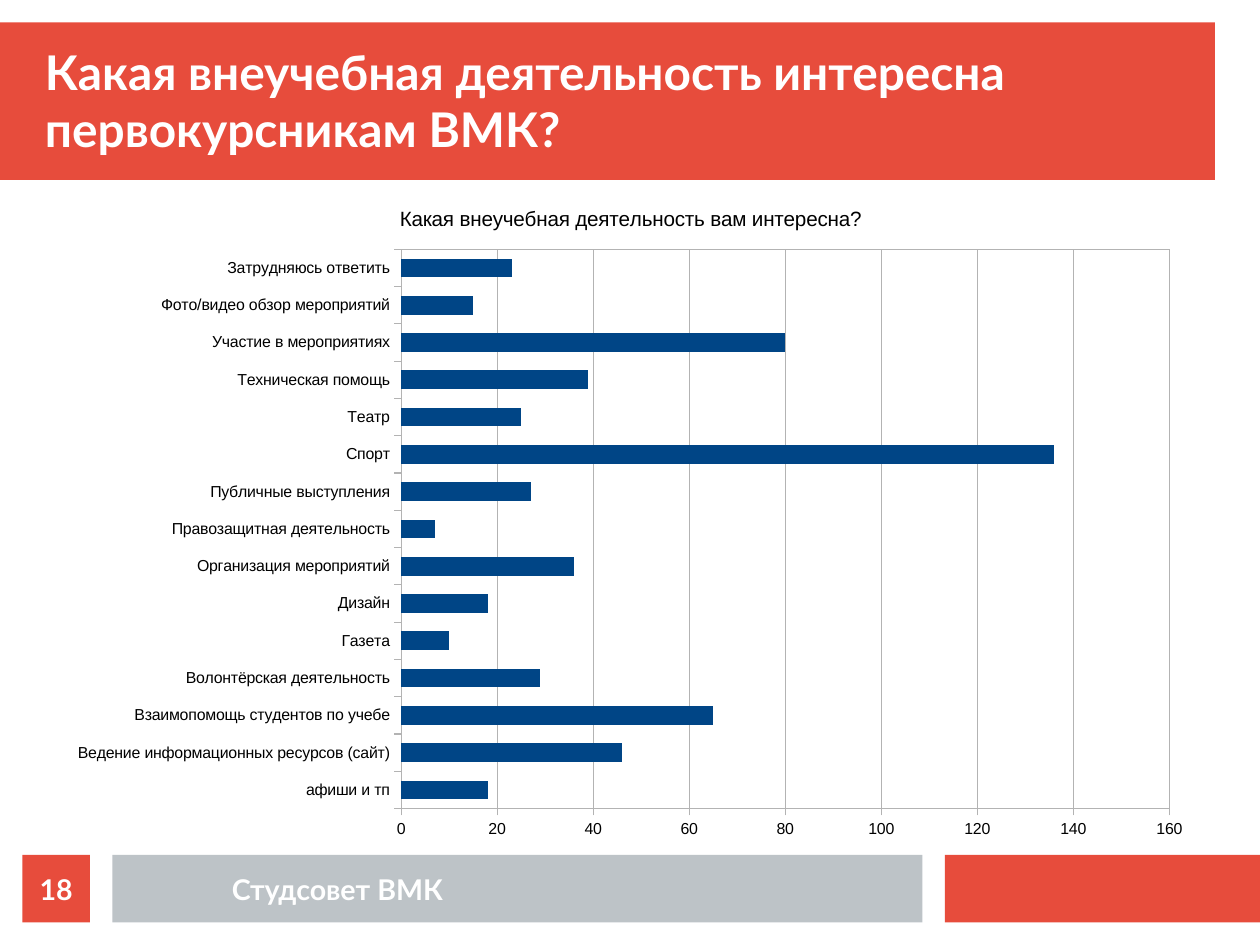
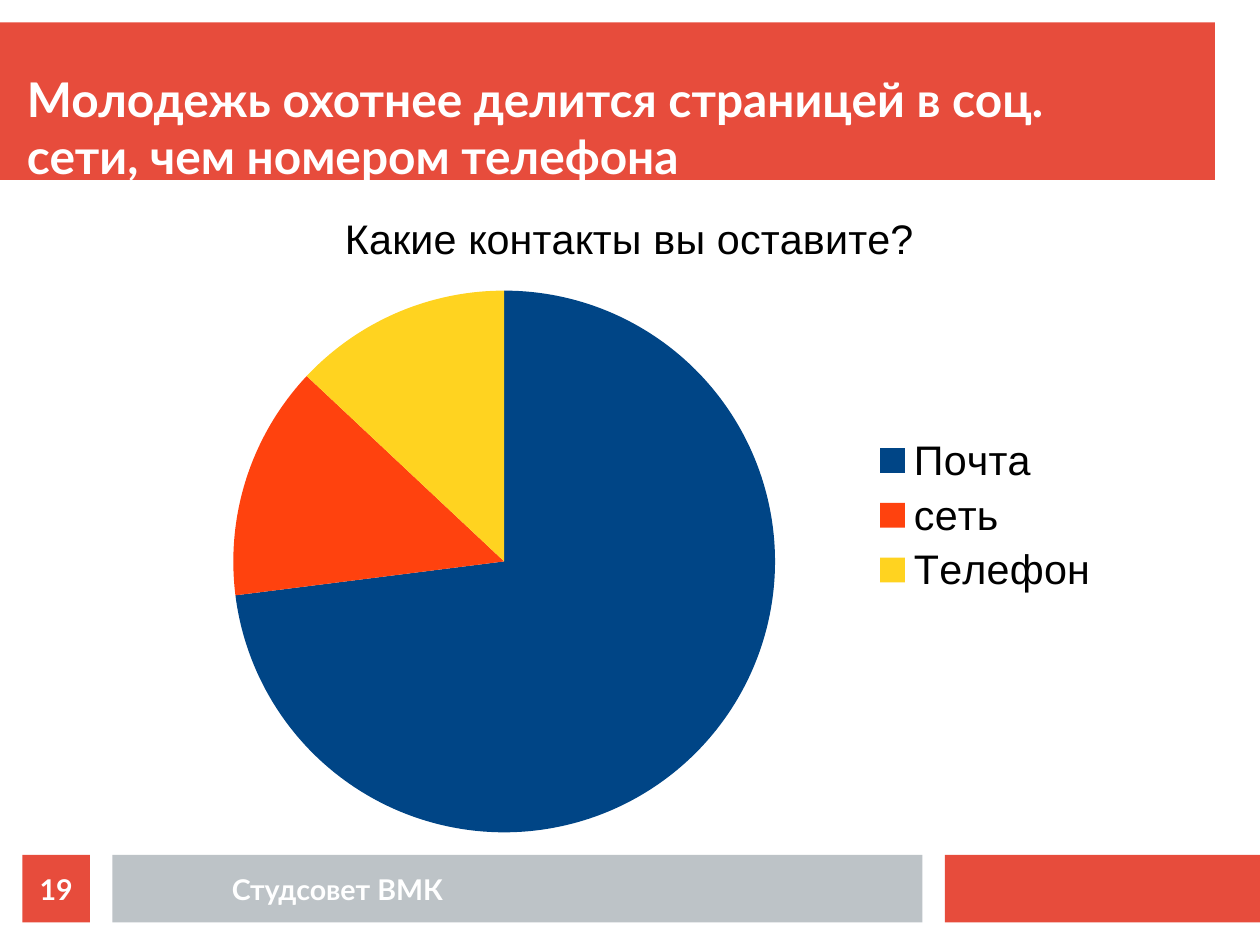
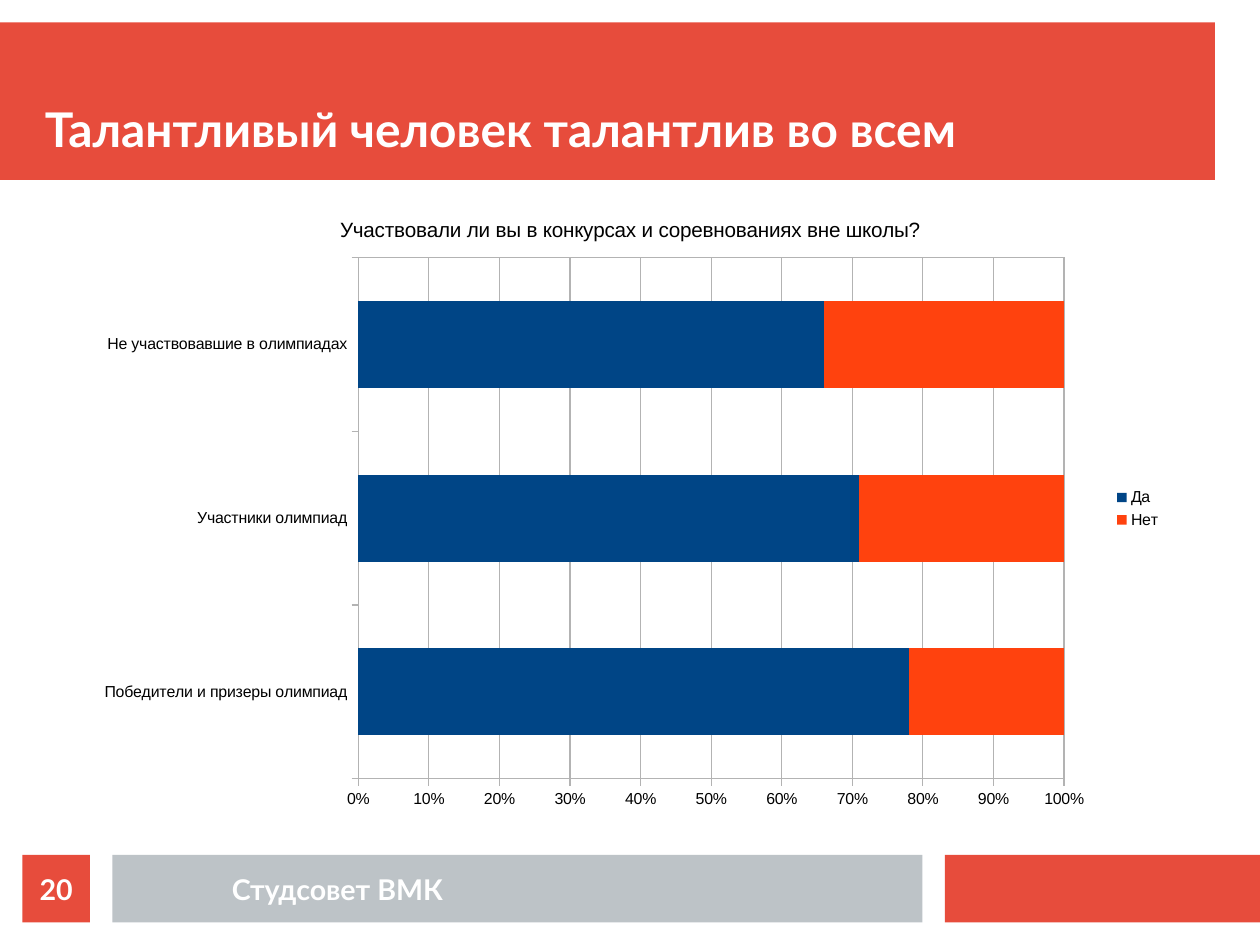
from lxml import etree
from pptx import Presentation
from pptx.chart.data import CategoryChartData as Data
from pptx.dml.color import RGBColor
from pptx.enum.chart import XL_CHART_TYPE as Kind, XL_LEGEND_POSITION as Side, XL_TICK_MARK as Tick
from pptx.enum.shapes import MSO_SHAPE as Form
from pptx.enum.text import MSO_ANCHOR as Anchor, PP_ALIGN as Align
from pptx.oxml import parse_xml
from pptx.oxml.ns import nsdecls, qn
from pptx.util import Cm, Pt

# Shared look; boxes are left, top, width, height in cm
RED, GREY, WHITE, BLACK, RULE = "E74C3C", "BDC3C7", "FFFFFF", "000000", "B3B3B3"
TONES = ["004586", "FF420E", "FFD320"]
HEAD = (0, 0.5, 27, 3.5)
FOOT = (0, 19, 28, 1.5)


def hue(code):
    return RGBColor.from_string(code)


def paint(fill, code):
    fill.solid()
    fill.fore_color.rgb = hue(code)


def style(font, size, color=BLACK, face="Arial", bold=False):
    font.size, font.name, font.bold = Pt(size), face, bold
    font.color.rgb = hue(color)


def rule(line):
    line.color.rgb = hue(RULE)
    line.width = Pt(0)


def block(slide, box, color):
    rect = slide.shapes.add_shape(Form.RECTANGLE, *map(Cm, box))
    rect.shadow.inherit = False
    paint(rect.fill, color)
    rect.line.fill.background()
    return rect


def write(slide, text, box=None, shape=None, size=18, color=WHITE,
          face="Lato", bold=True, align=Align.CENTER, anchor=Anchor.MIDDLE):
    shape = shape or slide.shapes.add_textbox(*map(Cm, box))
    frame = shape.text_frame
    frame.word_wrap, frame.vertical_anchor = True, anchor
    frame.margin_left = frame.margin_top = frame.margin_right = frame.margin_bottom = 0
    par = frame.paragraphs[0]
    par.text, par.alignment = text, align
    style(par.runs[0].font, size, color, face, bold)


# Title band
def head(slide, text, box, inner):
    block(slide, box, RED)
    left, top, wide, high = inner
    write(slide, text, (box[0] + left, box[1] + top, wide, high),
          size=30.1, align=Align.LEFT, anchor=Anchor.BOTTOM)


# Footer bands with the slide number
def foot(slide, number, box):
    left, top, _, high = box
    block(slide, (left + 21, top, 7, high), RED)
    block(slide, (left + 2.5, top, 18, high), GREY)
    write(slide, "Студсовет ВМК", (left + 3, top, 9, high))
    tile = block(slide, (left + 0.5, top, high, high), RED)
    write(slide, str(number), shape=tile)


# Plot area, as fractions of the chart box
def place(chart, area):
    plot = chart._chartSpace.chart.plotArea
    for old in plot.findall(qn("c:layout")):
        plot.remove(old)
    parts = "".join(f'<c:{tag} val="{val}"/>' for tag, val in zip("xywh", area))
    plot.insert(0, parse_xml(
        f'<c:layout {nsdecls("c")}><c:manualLayout><c:layoutTarget val="inner"/>'
        f'<c:xMode val="edge"/><c:yMode val="edge"/>{parts}</c:manualLayout></c:layout>'))
    return plot


def graph(slide, kind, box, title, cats, rows, area, size=13, key=None):
    data = Data()
    data.categories = cats
    for name, vals in rows:
        data.add_series(name, vals)
    chart = slide.shapes.add_chart(kind, *map(Cm, box), data).chart
    style(chart.font, 10)
    chart.has_title = True
    frame = chart.chart_title.text_frame
    frame.text = title
    style(frame.paragraphs[0].runs[0].font, size)
    chart.has_legend = bool(key)
    if key:
        chart.legend.position = Side.RIGHT
        chart.legend.include_in_layout = False
        style(chart.legend.font, key)
    return chart, place(chart, area)


def bars(slide, kind, box, title, cats, rows, area, form="General", key=None):
    chart, plot = graph(slide, kind, box, title, cats, rows, area, key=key)
    group = chart.plots[0]
    group.gap_width, group.vary_by_categories = 100, False
    if kind == Kind.BAR_STACKED_100:
        group.overlap = 100
    for row, tone in zip(group.series, TONES):
        paint(row.format.fill, tone)
    for axis in (chart.category_axis, chart.value_axis):
        axis.major_tick_mark, axis.minor_tick_mark = Tick.OUTSIDE, Tick.NONE
        style(axis.tick_labels.font, 10)
        rule(axis.format.line)
    scale = chart.value_axis
    scale.tick_labels.number_format = form
    scale.tick_labels.number_format_is_linked = False
    scale.has_major_gridlines = True
    rule(scale.major_gridlines.format.line)
    # Frame around the plot
    look = etree.SubElement(plot, qn("c:spPr"))
    etree.SubElement(look, qn("a:noFill"))
    look.append(parse_xml(f'<a:ln {nsdecls("a")} w="0"><a:solidFill>'
                          f'<a:srgbClr val="{RULE}"/></a:solidFill></a:ln>'))
    return chart


def pie(slide, box, title, cats, vals, area, size):
    chart, _ = graph(slide, Kind.PIE, box, title, cats, [("Series 1", vals)],
                     area, size=size, key=size)
    group = chart.plots[0]
    group.vary_by_categories = True
    for num, tone in enumerate(TONES):
        paint(group.series[0].points[num].format.fill, tone)


def main():
    deck = Presentation()
    deck.slide_width, deck.slide_height = Cm(28), Cm(21)

    def page(number, title, inner):
        slide = deck.slides.add_slide(deck.slide_layouts[6])
        head(slide, title, HEAD, inner)
        foot(slide, number, FOOT)
        return slide

    # Interests
    likes = {
        "афиши и тп": 18,
        "Ведение информационных ресурсов (сайт)": 46,
        "Взаимопомощь студентов по учебе": 65,
        "Волонтёрская деятельность": 29,
        "Газета": 10,
        "Дизайн": 18,
        "Организация мероприятий": 36,
        "Правозащитная деятельность": 7,
        "Публичные выступления": 27,
        "Спорт": 136,
        "Театр": 25,
        "Техническая помощь": 39,
        "Участие в мероприятиях": 80,
        "Фото/видео обзор мероприятий": 15,
        "Затрудняюсь ответить": 23,
    }
    slide = page(18, "Какая внеучебная деятельность интересна первокурсникам ВМК?",
                 (1, 0.1, 26, 2.9))
    chart = bars(slide, Kind.BAR_CLUSTERED, (1.27, 4.06, 25.48, 14.8),
                 "Какая внеучебная деятельность вам интересна?",
                 list(likes), [("Series 1", list(likes.values()))],
                 (0.3, 0.1, 0.67, 0.84))
    chart.value_axis.maximum_scale, chart.value_axis.major_unit = 160, 20

    # Contacts
    slide = page(19, "Молодежь охотнее делится страницей в соц. сети, чем номером телефона",
                 (0.6, -0.12, 23.17, 3.71))
    pie(slide, (3.25, 4.1, 21.5, 14.7), "Какие контакты вы оставите?",
        ["Почта", "сеть", "Телефон"], [73, 14, 13], (0.09, 0.16, 0.56, 0.82), 26)

    # Contests
    slide = page(20, "Талантливый человек талантлив во всем", (1, 0.1, 22.38, 2.9))
    bars(slide, Kind.BAR_STACKED_100, (1.93, 4.32, 24.13, 13.97),
         "Участвовали ли вы в конкурсах и соревнованиях вне школы?",
         ["Победители и призеры олимпиад", "Участники олимпиад",
          "Не участвовавшие в олимпиадах"],
         [("Да", [78, 71, 66]), ("Нет", [22, 29, 34])],
         (0.25, 0.1, 0.65, 0.83), form="0%", key=10)

    deck.save("out.pptx")


if __name__ == "__main__":
    main()
